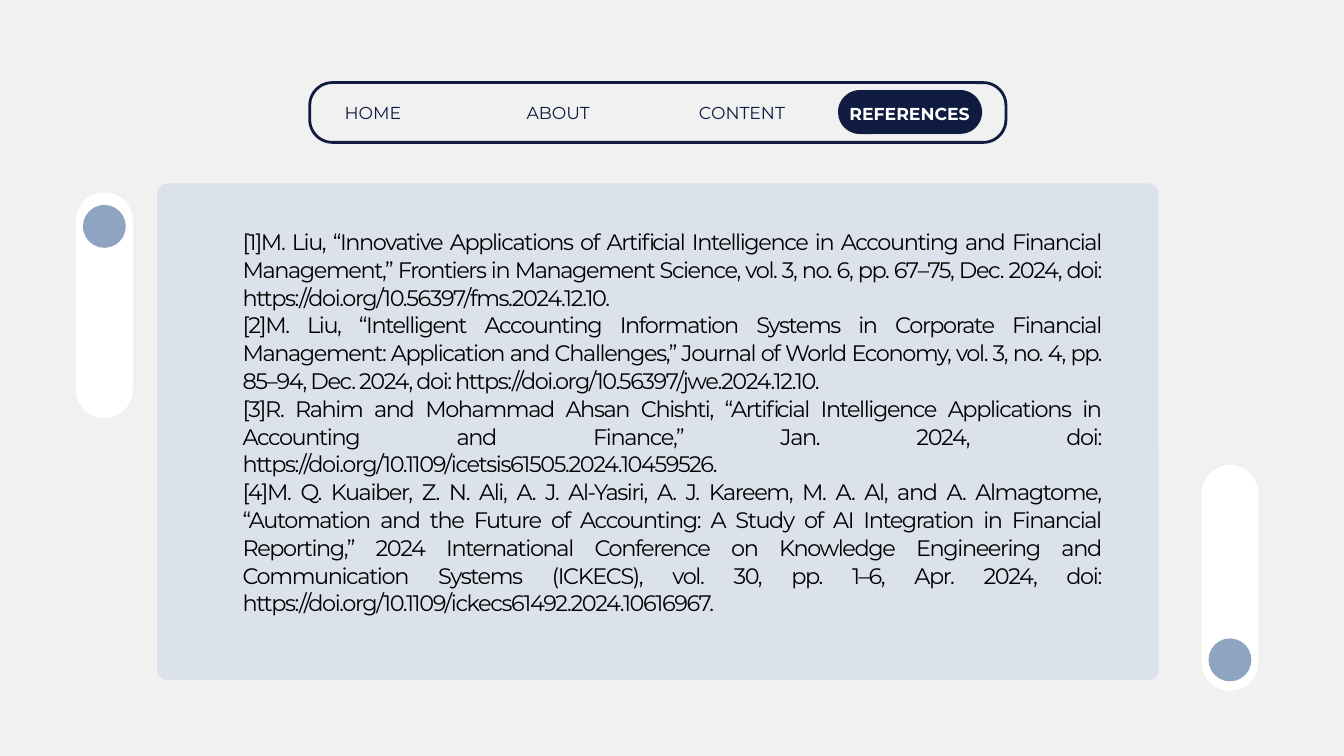
from collections import namedtuple
from lxml.etree import SubElement as Sub
from pptx import Presentation as Deck
from pptx.dml.color import RGBColor as Rgb
from pptx.enum.shapes import MSO_SHAPE as Geo
from pptx.enum.text import MSO_ANCHOR as Anchor, MSO_AUTO_SIZE as Fit, PP_ALIGN as Align
from pptx.oxml.ns import qn
from pptx.util import Inches, Pt

NAVY, BLUE, PALE = "101B40", "8FA4C1", "DCE2EB"
WHITE, BLACK, GREY = "FFFFFF", "000000", "F1F1F1"
FONT = "Montserrat"
TABS = [("HOME", 9.07), ("ABOUT", 35.67), ("CONTENT", 62.07)]
ACTIVE = ("REFERENCES", 86.15)
REFS = [
    "[1]M. Liu, “Innovative Applications of Artificial Intelligence in Accounting and "
    "Financial Management,” Frontiers in Management Science, vol. 3, no. 6, pp. 67–75, "
    "Dec. 2024, doi: https://doi.org/10.56397/fms.2024.12.10.",
    "[2]M. Liu, “Intelligent Accounting Information Systems in Corporate Financial "
    "Management: Application and Challenges,” Journal of World Economy, vol. 3, no. 4, "
    "pp. 85–94, Dec. 2024, doi: https://doi.org/10.56397/jwe.2024.12.10.",
    "[3]R. Rahim and Mohammad Ahsan Chishti, “Artificial Intelligence Applications in "
    "Accounting and Finance,” Jan. 2024, doi: "
    "https://doi.org/10.1109/icetsis61505.2024.10459526.",
    "[4]M. Q. Kuaiber, Z. N. Ali, A. J. Al-Yasiri, A. J. Kareem, M. A. Al, and "
    "A. Almagtome, “Automation and the Future of Accounting: A Study of AI Integration "
    "in Financial Reporting,” 2024 International Conference on Knowledge Engineering and "
    "Communication Systems (ICKECS), vol. 30, pp. 1–6, Apr. 2024, doi: "
    "https://doi.org/10.1109/ickecs61492.2024.10616967.",
]


class Box(namedtuple("Box", "x y w h")):
    """A rectangle in inches."""

    def share(self, x, y, w, h):
        """Return an inner box given in percent of this one."""
        return Box(self.x + self.w * x / 100, self.y + self.h * y / 100,
                   self.w * w / 100, self.h * h / 100)

    def emu(self):
        """Return the four lengths in slide units."""
        return [Inches(v) for v in self]


def paint(target, color):
    """Give a fill or font a solid colour from a hex string."""
    if hasattr(target, "solid"):
        target.solid()
        target = target.fore_color
    else:
        target = target.color
    target.rgb = Rgb.from_string(color)


def form(slide, geo, box, fill=None, line=None, bend=None):
    """Draw one preset shape, filled or outlined."""
    shape = slide.shapes.add_shape(geo, *box.emu())
    shape.shadow.inherit = False
    if bend is not None:
        shape.adjustments[0] = bend
    for target, color in ((shape.fill, fill), (shape.line.fill, line)):
        if color:
            paint(target, color)
        else:
            target.background()
    if line:
        shape.line.width = Pt(3)


def write(shape, lines, size=18.5, color=NAVY, bold=False, align=Align.CENTER,
          lead=25.9, track=0):
    """Fill a text shape with formatted paragraphs."""
    frame = shape.text_frame
    frame.word_wrap, frame.auto_size = True, Fit.NONE
    frame.vertical_anchor = Anchor.TOP
    frame.margin_left = frame.margin_right = frame.margin_top = frame.margin_bottom = 0
    for i, line in enumerate(lines):
        para = frame.add_paragraph() if i else frame.paragraphs[0]
        props = para._p.get_or_add_pPr()
        props.set("marL", "0")
        props.set("indent", "0")
        Sub(props, qn("a:buNone"))
        para.alignment, para.line_spacing = align, Pt(lead)
        para.space_before = Pt(0)
        run = para.add_run()
        run.text = line
        run.font.name, run.font.size, run.font.bold = FONT, Pt(size), bold
        paint(run.font, color)
        if track:
            run._r.get_or_add_rPr().set("spc", str(int(track * 100)))


def place(holder, box):
    """Move a placeholder into a box and to the front."""
    holder.left, holder.top, holder.width, holder.height = box.emu()
    holder.element.getparent().append(holder.element)


def nav_bar(slide, box):
    """Draw the menu with the active tab as the slide title."""
    def slot(mid, top):
        """Return the label box centred on a share of the bar."""
        return box.share(mid - 11.75, top, 23.5, 37)

    form(slide, Geo.ROUNDED_RECTANGLE, box, line=NAVY, bend=0.38)
    form(slide, Geo.ROUNDED_RECTANGLE, box.share(75.87, 12.4, 20.7, 73.5),
         fill=NAVY, bend=0.5)
    for name, mid in TABS:
        write(slide.shapes.add_textbox(*slot(mid, 27).emu()), [name])
    name, mid = ACTIVE
    title = slide.shapes.title
    place(title, slot(mid, 29.2))
    write(title, [name], color=WHITE, bold=True)


def slider(slide, box, top):
    """Draw an upright track with its round knob."""
    form(slide, Geo.ROUNDED_RECTANGLE, box, fill=WHITE, bend=0.5)
    form(slide, Geo.OVAL, box.share(12.3, top, 75.4, 19), fill=BLUE)


def ref_panel(slide, box):
    """Draw the panel and its list of references."""
    form(slide, Geo.ROUNDED_RECTANGLE, box, fill=PALE, bend=0.02)
    body = slide.placeholders[1]
    place(body, box.share(8.52, 8.8, 85.7, 76.73))
    write(body, REFS, size=24, color=BLACK, align=Align.JUSTIFY, lead=29.8, track=-1.5)


def main():
    """Build and save the slide."""
    deck = Deck()
    page = Box(0, 0, 20, 11.25)
    deck.slide_width, deck.slide_height = page.emu()[2:]
    slide = deck.slides.add_slide(deck.slide_layouts[1])
    paint(slide.background.fill, GREY)
    nav_bar(slide, page.share(23.05, 10.93, 51.8, 7.91))
    slider(slide, page.share(5.65, 25.42, 4.23, 29.87), 5.65)
    slider(slide, page.share(89.4, 61.51, 4.23, 29.87), 76.8)
    ref_panel(slide, page.share(11.7, 24.27, 74.5, 65.69))
    deck.save("out.pptx")


if __name__ == "__main__":
    main()
